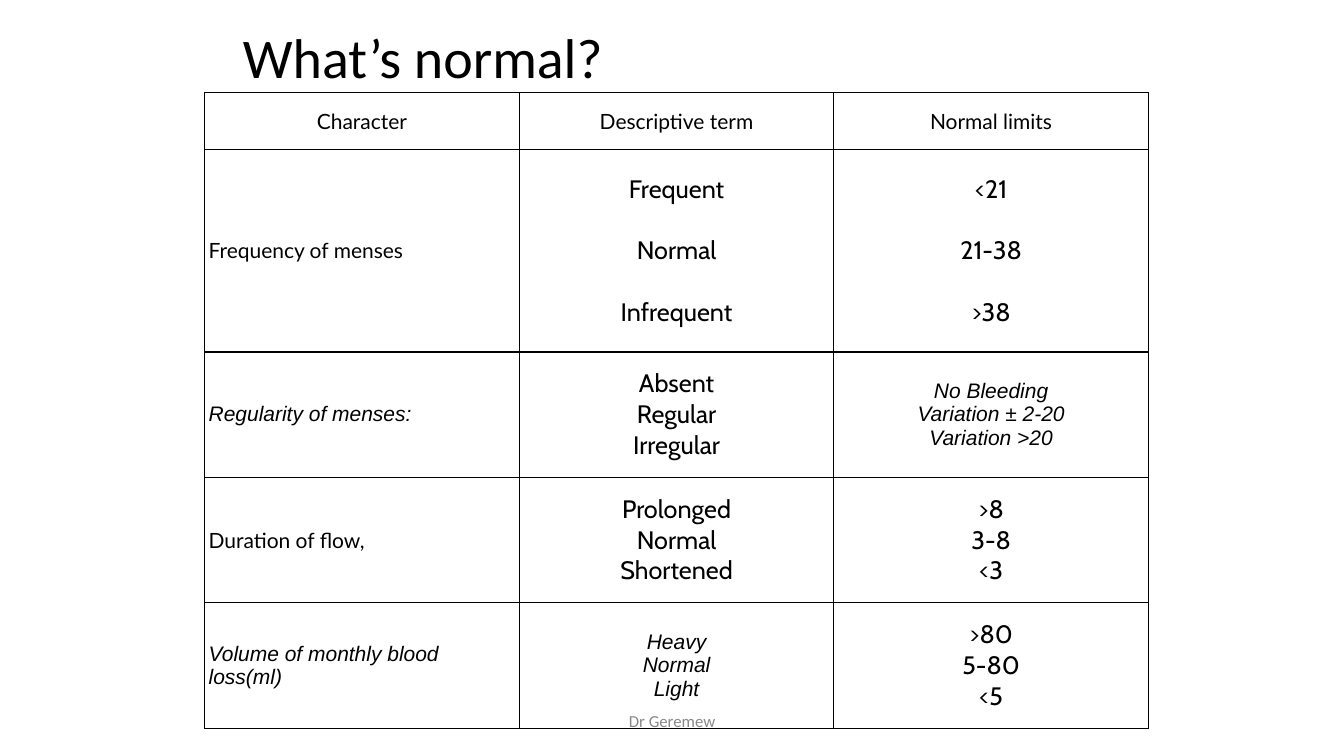
from lxml import etree
from pptx import Presentation
from pptx import util as u
from pptx.dml.color import RGBColor
from pptx.enum import text as t
from pptx.oxml import ns

BLACK = RGBColor(0, 0, 0)
GRAY = RGBColor(0x89, 0x89, 0x89)
LEFT, MID = t.PP_ALIGN.LEFT, t.PP_ALIGN.CENTER

# Text styles: font, size, italic
HEAD = ("Lato", 15, False)
TERM = ("Cabin", 18, False)
NOTE = ("Arial", 15, True)

# Each cell: style, lines
ROWS = [
    [(HEAD, ["Character"]), (HEAD, ["Descriptive term"]),
     (HEAD, ["Normal limits"])],
    [(HEAD, ["Frequency of menses"]),
     (TERM, ["Frequent", "Normal", "Infrequent"]),
     (TERM, ["<21", "21-38", ">38"])],
    [(NOTE, ["Regularity of menses:"]),
     (TERM, ["Absent", "Regular", "Irregular"]),
     (NOTE, ["No Bleeding", "Variation ± 2-20", "Variation >20"])],
    [(HEAD, ["Duration of flow,"]),
     (TERM, ["Prolonged", "Normal", "Shortened"]),
     (TERM, [">8", "3-8", "<3"])],
    [(NOTE, ["Volume of monthly blood loss(ml)"]),
     (NOTE, ["Heavy", "Normal", "Light"]),
     (TERM, [">80", "5-80", "<5"])],
]
TALL = [1.43, 5.1, 3.16, 3.16, 3.16]
WIDE = 7.93
OPEN = 1  # row with widely spaced lines


class Deck:
    def __init__(self):
        self.prs = Presentation()
        self.prs.slide_width = u.Cm(33.88)
        self.prs.slide_height = u.Cm(19.05)
        self.slide = self.prs.slides.add_slide(self.prs.slide_layouts[5])

    def lines(self, frame, words, style, color, align, gap=0):
        name, size, slant = style
        for i, line in enumerate(words):
            para = frame.add_paragraph() if i else frame.paragraphs[0]
            para.alignment = align
            para.space_before = u.Pt(gap if i else 0)
            run = para.add_run()
            run.text = line
            font = run.font
            font.name, font.size, font.italic = name, u.Pt(size), slant
            font.color.rgb = color

    def frame(self, box):
        frame = box.text_frame
        frame.word_wrap = True
        frame.auto_size = t.MSO_AUTO_SIZE.NONE
        frame.vertical_anchor = t.MSO_ANCHOR.MIDDLE
        return frame

    def title(self, words, x, y, w, h):
        box = self.slide.shapes.title
        box.left, box.top, box.width, box.height = map(u.Cm, (x, y, w, h))
        frame = self.frame(box)
        self.lines(frame, [words], ("Calibri", 40, False), BLACK, LEFT)
        frame.paragraphs[0].line_spacing = 0.9

    def label(self, words, x, y, w, h):
        box = self.slide.shapes.add_textbox(*map(u.Cm, (x, y, w, h)))
        self.lines(self.frame(box), [words], ("Calibri", 12, False), GRAY, MID)

    def border(self, cell):
        props = cell._tc.get_or_add_tcPr()
        for i, side in enumerate(("lnL", "lnR", "lnT", "lnB")):
            line = etree.Element(ns.qn("a:" + side), w=str(u.Pt(0.96)))
            fill = etree.SubElement(line, ns.qn("a:solidFill"))
            etree.SubElement(fill, ns.qn("a:srgbClr"), val=str(BLACK))
            props.insert(i, line)

    def table(self, x, y):
        cols = len(ROWS[0])
        grid = self.slide.shapes.add_table(
            len(ROWS), cols, u.Cm(x), u.Cm(y),
            u.Cm(WIDE * cols), u.Cm(sum(TALL))).table
        grid.first_row = grid.horz_banding = False
        for col in grid.columns:
            col.width = u.Cm(WIDE)
        for r, row in enumerate(ROWS):
            grid.rows[r].height = u.Cm(TALL[r])
            for c, (style, words) in enumerate(row):
                cell = grid.cell(r, c)
                cell.fill.background()
                cell.margin_left = cell.margin_right = u.Cm(0.1)
                cell.margin_top = cell.margin_bottom = u.Cm(0.13)
                cell.vertical_anchor = t.MSO_ANCHOR.MIDDLE
                align = LEFT if r and not c else MID
                self.lines(cell.text_frame, words, style, BLACK, align,
                           22 if r == OPEN else 0)
                self.border(cell)


def main():
    deck = Deck()
    # Heading
    deck.title("What’s normal?", 5.87, 0.74, 18.26, 1.57)
    # Footer
    deck.label("Dr Geremew", 11.23, 17.65, 11.43, 1.02)
    # Limits table
    deck.table(5.16, 2.34)
    deck.prs.save("out.pptx")


if __name__ == "__main__":
    main()
